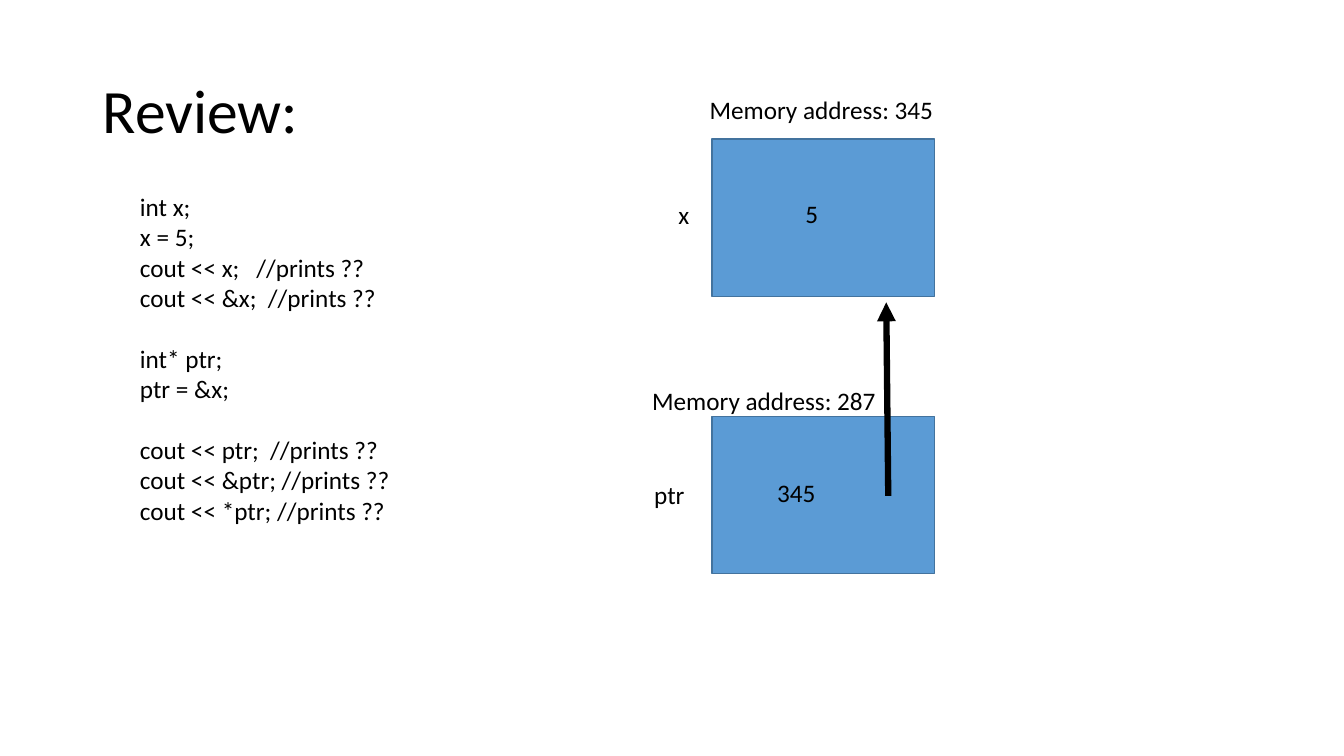
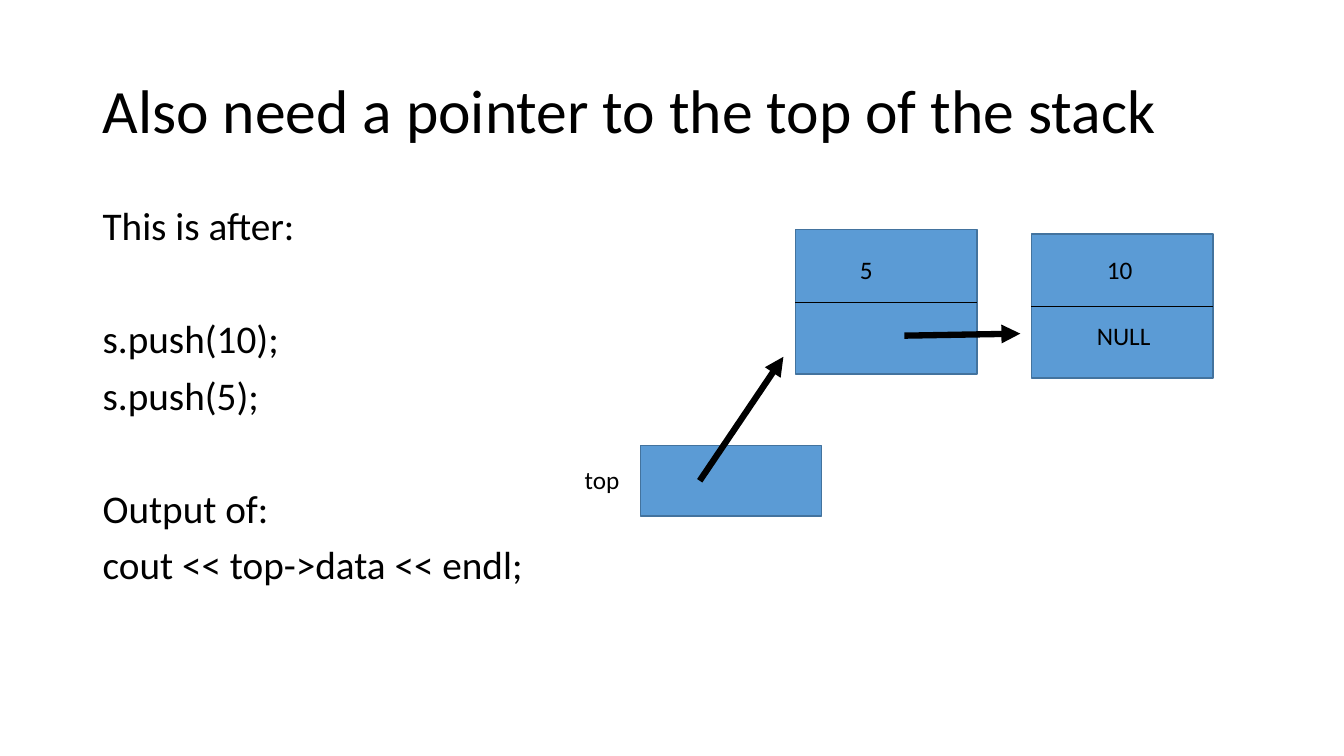
from collections import namedtuple
from dataclasses import dataclass

from lxml import etree
from pptx import Presentation
from pptx.dml.color import RGBColor
from pptx.enum import shapes, text
from pptx.oxml import ns
from pptx.util import Inches, Pt

Box = namedtuple("Box", "left top width height")


@dataclass(frozen=True)
class Theme:
    font: str = "Calibri"
    ink: RGBColor = RGBColor(0, 0, 0)
    cell_fill: RGBColor = RGBColor(0x5B, 0x9B, 0xD5)
    cell_edge: RGBColor = RGBColor(0x43, 0x73, 0x9E)
    title_size: float = 44
    body_size: float = 28
    label_size: float = 18
    edge_width: float = 1
    divider_width: float = 0.5
    arrow_width: float = 4.5
    tight_spacing: float = 0.9
    body_gap: float = 10
    line_factor: float = 1.22  # line height of the font, in ems


THEME = Theme()
TITLE_BOX = Box(0.92, 0.4, 11.5, 1.45)
LABEL_HEIGHT = 0.4


# Basic parts

def add_text(slide, box, groups, size=THEME.label_size, spacing=1.0, gap=0,
             wrap=True, anchor=text.MSO_ANCHOR.TOP):
    """Write groups of lines, with the height of one line between groups."""
    frame = slide.shapes.add_textbox(*map(Inches, box)).text_frame
    frame.word_wrap = wrap
    frame.vertical_anchor = anchor
    if not wrap:
        frame.auto_size = text.MSO_AUTO_SIZE.SHAPE_TO_FIT_TEXT
    group_gap = 2 * gap + size * THEME.line_factor * spacing
    lines = [(line, group_gap if g and not i else gap)
             for g, group in enumerate(groups) for i, line in enumerate(group)]
    for number, (line, before) in enumerate(lines):
        paragraph = frame.add_paragraph() if number else frame.paragraphs[0]
        paragraph.text = line
        paragraph.line_spacing = spacing
        paragraph.space_before = Pt(before)
        paragraph.font.name = THEME.font
        paragraph.font.size = Pt(size)
        paragraph.font.color.rgb = THEME.ink


def add_label(slide, box, offset, wording, width, wrap=True):
    """Place a one-line label at an offset from the corner of a box."""
    place = Box(box.left + offset[0], box.top + offset[1], width, LABEL_HEIGHT)
    add_text(slide, place, [[wording]], wrap=wrap)


def add_title(slide, wording):
    add_text(slide, TITLE_BOX, [[wording]], size=THEME.title_size,
             spacing=THEME.tight_spacing, anchor=text.MSO_ANCHOR.MIDDLE)


def add_cell(slide, box):
    cell = slide.shapes.add_shape(shapes.MSO_SHAPE.RECTANGLE, *map(Inches, box))
    cell.shadow.inherit = False
    cell.fill.solid()
    cell.fill.fore_color.rgb = THEME.cell_fill
    cell.line.color.rgb = THEME.cell_edge
    cell.line.width = Pt(THEME.edge_width)


def add_line(slide, start, end, width):
    line = slide.shapes.add_connector(shapes.MSO_CONNECTOR.STRAIGHT,
                                      *map(Inches, (*start, *end)))
    line.line.color.rgb = THEME.ink
    line.line.width = Pt(width)
    etree.SubElement(line.element.spPr, ns.qn("a:effectLst"))
    return line


def add_arrow(slide, start, end):
    arrow = add_line(slide, start, end, THEME.arrow_width)
    head = etree.SubElement(arrow.line._get_or_add_ln(), ns.qn("a:tailEnd"))
    head.set("type", "triangle")


# Diagram regions

def add_variable(slide, box, name, value, address):
    """A memory cell; each label is (wording, offset), the name with its width."""
    add_cell(slide, box)
    add_label(slide, box, value[1], value[0], 0.62)
    add_label(slide, box, address[1], f"Memory address: {address[0]}", 2.9)
    add_label(slide, box, name[1], name[0], name[2], wrap=False)


def add_node(slide, box, data, data_offset):
    """A list node: data in the upper half, link in the lower half."""
    add_cell(slide, box)
    middle = box.top + box.height / 2
    add_line(slide, (box.left, middle), (box.left + box.width, middle),
             THEME.divider_width)
    add_label(slide, box, data_offset, data, 1.27)


# Slides

def build_review(slide):
    add_title(slide, "Review:")
    add_text(slide, Box(1.29, 1.85, 2.94, 3.43), [
        ["int x;", "x = 5;", "cout << x;   //prints ??", "cout << &x;  //prints ??"],
        ["int* ptr;", "ptr = &x;"],
        ["cout << ptr;  //prints ??", "cout << &ptr; //prints ??",
         "cout << *ptr; //prints ??"],
    ])
    x_box = Box(7.06, 1.38, 2.21, 1.56)
    ptr_box = x_box._replace(top=4.13)
    add_variable(slide, x_box, name=("x", (-0.43, 0.55), 0.31),
                 value=("5", (0.83, 0.54)), address=(345, (-0.12, -0.49)))
    add_variable(slide, ptr_box, name=("ptr", (-0.67, 0.58), 0.51),
                 value=("345", (0.55, 0.56)), address=(287, (-0.69, -0.36)))
    add_arrow(slide, (ptr_box.left + 1.75, ptr_box.top + 0.79),
              (x_box.left + 1.73, x_box.top + x_box.height + 0.06))


def build_stack(slide):
    add_title(slide, "Also need a pointer to the top of the stack")
    add_text(slide, Box(0.92, 2, 4.56, 4.76), [
        ["This is after:"],
        ["s.push(10);", "s.push(5);"],
        ["Output of:", "cout << top->data << endl;"],
    ], size=THEME.body_size, spacing=THEME.tight_spacing, gap=THEME.body_gap)

    first = Box(7.89, 2.28, 1.8, 1.43)
    last = first._replace(left=10.23, top=2.32)
    top = Box(6.35, 4.42, 1.8, 0.7)
    add_node(slide, first, "5", (0.54, 0.19))
    add_node(slide, last, "10", (0.65, 0.15))
    add_label(slide, last, (0.55, 0.81), "NULL", 0.74, wrap=False)
    add_cell(slide, top)
    add_label(slide, top, (-0.65, 0.14), "top", 0.55, wrap=False)
    # Links: top to the first node, first node to the last
    add_arrow(slide, (top.left + 0.59, top.top + top.height / 2),
              (first.left - 0.12, first.top + 1.26))
    add_arrow(slide, (first.left + 1.08, first.top + 1.05),
              (last.left - 0.11, last.top + 0.99))


def main():
    deck = Presentation()
    deck.slide_width, deck.slide_height = Inches(13.33), Inches(7.5)
    blank = deck.slide_layouts[6]
    for build in (build_review, build_stack):
        build(deck.slides.add_slide(blank))
    deck.save("out.pptx")


if __name__ == "__main__":
    main()
